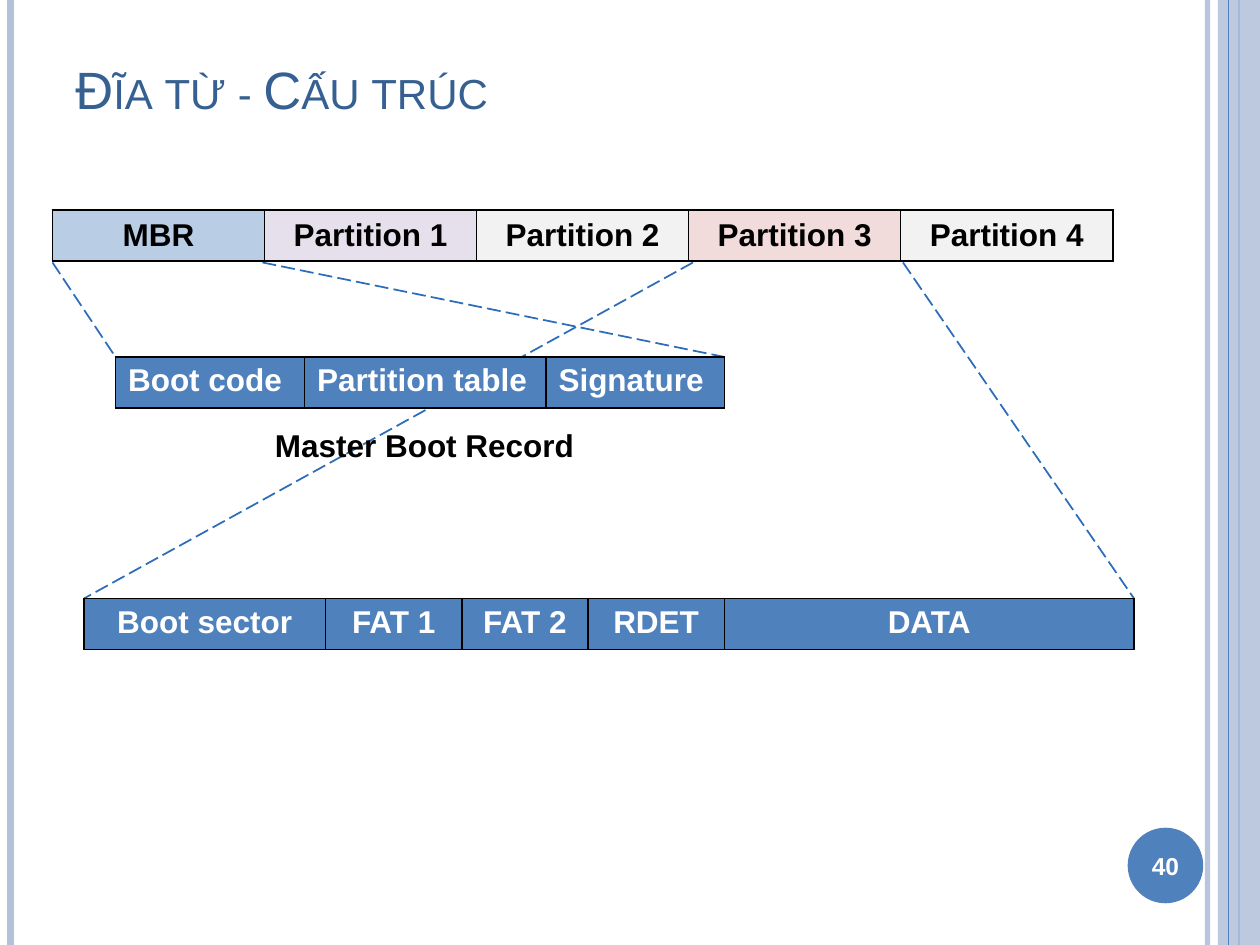
from lxml.etree import SubElement
from pptx import Presentation
from pptx.dml.color import RGBColor
from pptx.enum.dml import MSO_LINE
from pptx.enum.shapes import MSO_CONNECTOR, MSO_SHAPE
from pptx.enum.text import MSO_ANCHOR, PP_ALIGN
from pptx.oxml import parse_xml
from pptx.oxml.ns import nsdecls, qn
from pptx.util import Pt

COLORS = {
    "rail": "B3C1DB", "blue": "4F81BD", "link": "2C6CB9", "title": "376092",
    "black": "000000", "white": "FFFFFF", "mbr": "B9CDE5",
    "lilac": "E6E0EC", "gray": "F2F2F2", "rose": "F2DCDB",
}
LEFT, CENTER = PP_ALIGN.LEFT, PP_ALIGN.CENTER
TOP, MIDDLE, BOTTOM = MSO_ANCHOR.TOP, MSO_ANCHOR.MIDDLE, MSO_ANCHOR.BOTTOM

deck = Presentation()
deck.slide_width, deck.slide_height = Pt(720), Pt(540)
page = deck.slides.add_slide(deck.slide_layouts[6])
shapes = page.shapes


def add_line(x1, y1, x2, y2, color, width, dash=None):
    line = shapes.add_connector(MSO_CONNECTOR.STRAIGHT, Pt(x1), Pt(y1), Pt(x2), Pt(y2))
    line.line.color.rgb = RGBColor.from_string(COLORS[color])
    line.line.width = Pt(width)
    line.line.dash_style = dash
    SubElement(line._element.spPr, qn("a:effectLst"))
    return line


def write(para, text, color, size=18, bold=True, align=LEFT):
    para.alignment = align
    span = para.add_run()
    span.text = text
    for name, value in {"name": "Arial", "size": Pt(size), "bold": bold}.items():
        setattr(span.font, name, value)
    span.font.color.rgb = RGBColor.from_string(COLORS[color])
    return span


outer_rail = add_line(690, 0, 690, 540, "rail", 3)
add_line(6, 0, 6, 540, "rail", 4.5)
add_line(708, 0, 708, 540, "blue", 1.5)

for kind, left, top, width, height, color in [
    (MSO_SHAPE.RECTANGLE, 696, 0, 24, 540, "rail"),
    (MSO_SHAPE.OVAL, 644.4, 473, 43.2, 43.2, "blue"),
]:
    shape = shapes.add_shape(kind, Pt(left), Pt(top), Pt(width), Pt(height))
    shape.shadow.inherit = False
    shape.fill.solid()
    shape.fill.fore_color.rgb = RGBColor.from_string(COLORS[color])
    shape.line.fill.background()
    if kind == MSO_SHAPE.RECTANGLE:
        add_line(702, 0, 702, 540, "blue", 0.75)
        side_band = shape

for item, alpha in [(outer_rail, 93000), (side_band, 87000)]:
    tint = next(item._element.spPr.iter(qn("a:srgbClr")))
    SubElement(tint, qn("a:alpha"), val=str(alpha))

for ends in [
    (396, 150, 48, 342),
    (30, 150, 66, 204),
    (150, 150, 414, 204),
    (516, 150, 648, 342),
]:
    add_line(*ends, "link", 1, MSO_LINE.LONG_DASH)

disk = [("MBR", 121.2, "mbr"), ("Partition 1", 121.2, "lilac"), ("Partition 2", 121.2, "gray"),
        ("Partition 3", 121.2, "rose"), ("Partition 4", 121.2, "gray")]
boot_record = [("Boot code", 108, "blue"), ("Partition table", 138, "blue"),
               ("Signature", 102, "blue")]
volume = [("Boot sector", 138, "blue"), ("FAT 1", 78, "blue"), ("FAT 2", 72, "blue"),
          ("RDET", 78, "blue"), ("DATA", 234, "blue")]

for fields, left, top, color, align, anchor in [
    (disk, 30, 120, "black", CENTER, MIDDLE),
    (boot_record, 66, 204, "white", LEFT, TOP),
    (volume, 48, 342, "white", CENTER, TOP),
]:
    total = sum(width for _, width, _ in fields)
    table = shapes.add_table(1, len(fields), Pt(left), Pt(top), Pt(total), Pt(29.2)).table
    table.first_row = table.horz_banding = False
    for index, (text, width, fill) in enumerate(fields):
        table.columns[index].width = Pt(width)
        cell = table.cell(0, index)
        cell.vertical_anchor = anchor
        write(cell.text_frame.paragraphs[0], text, color, align=align)
        for side in "LRTB":
            cell._tc.get_or_add_tcPr().append(parse_xml(
                f'<a:ln{side} {nsdecls("a")} w="12700"><a:solidFill>'
                f'<a:srgbClr val="{COLORS["black"]}"/></a:solidFill></a:ln{side}>'))
        cell.fill.solid()
        cell.fill.fore_color.rgb = RGBColor.from_string(COLORS[fill])

for text, left, top, width, height, anchor, wrap, style in [
    ("Đĩa từ - Cấu trúc", 36, 21.6, 606, 50.4, BOTTOM, True,
     {"color": "title", "size": 30, "bold": False}),
    ("40", 642, 474.5, 48, 41, MIDDLE, True, {"color": "white", "size": 14, "align": CENTER}),
    ("Master Boot Record", 150, 240, 187, 29, TOP, False, {"color": "black"}),
]:
    box = shapes.add_textbox(Pt(left), Pt(top), Pt(width), Pt(height))
    for name, value in {"word_wrap": wrap, "vertical_anchor": anchor}.items():
        setattr(box.text_frame, name, value)
    span = write(box.text_frame.paragraphs[0], text, **style)
    if anchor == BOTTOM:
        span._r.get_or_add_rPr().set("cap", "small")

deck.save("out.pptx")
